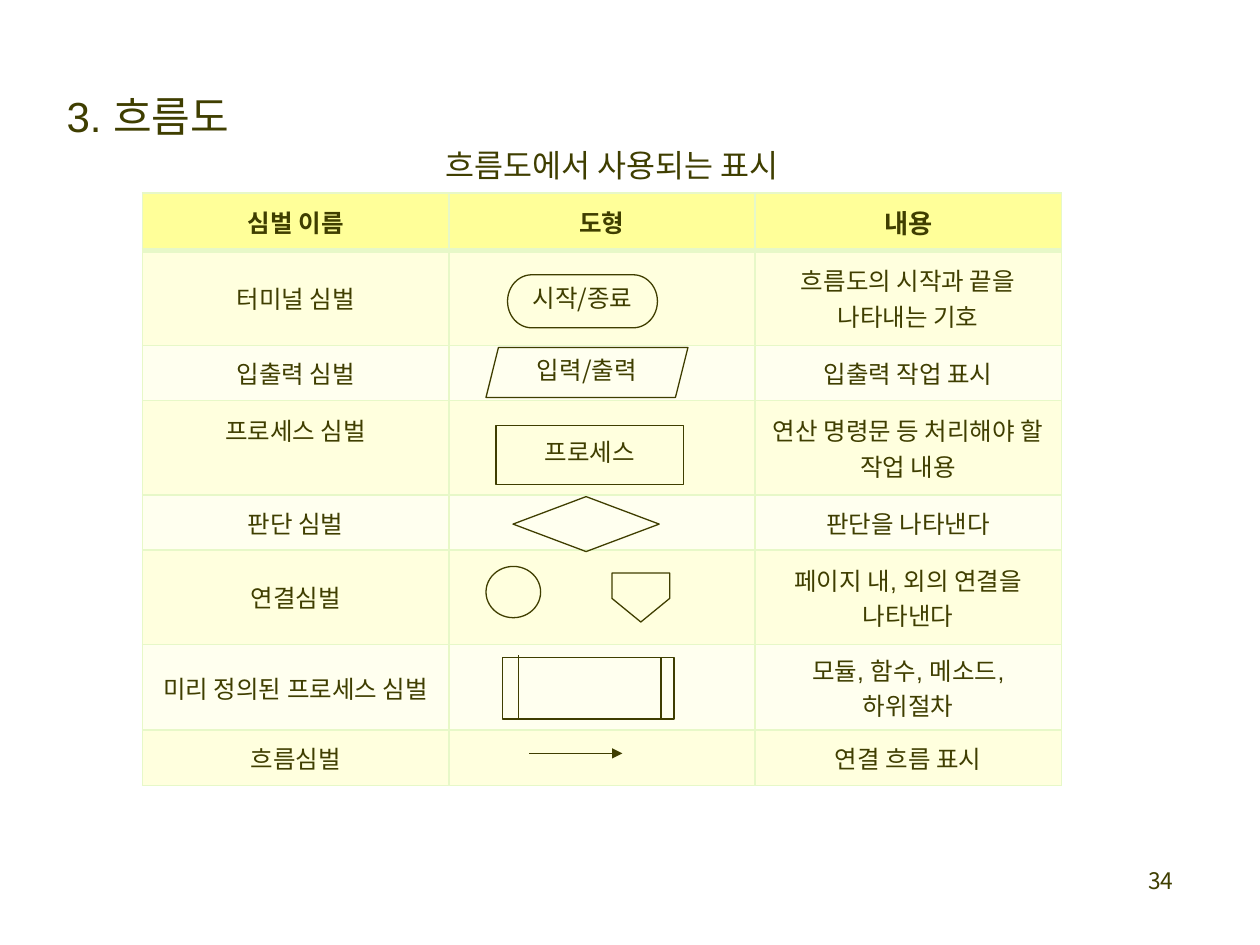
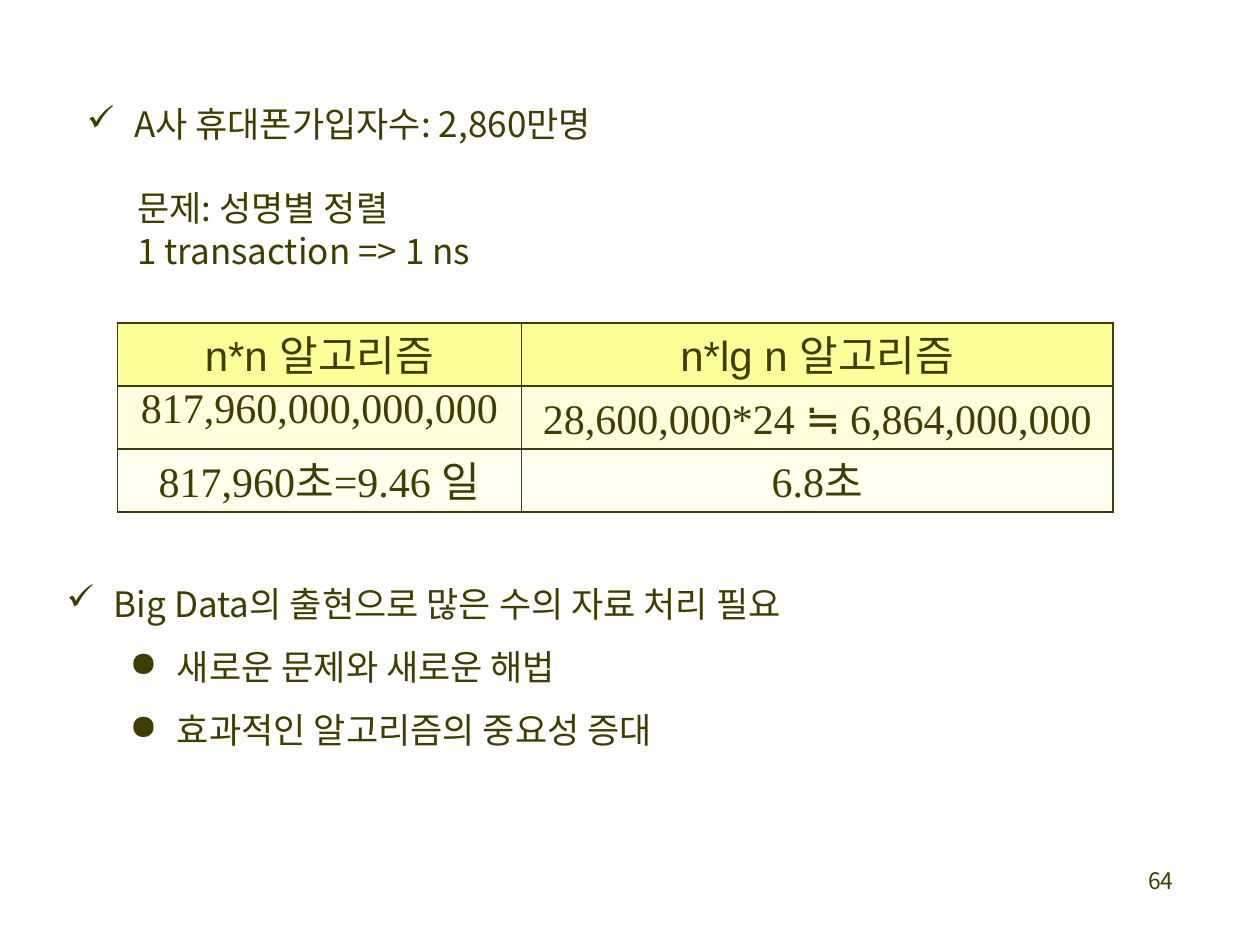
import pptx
import pptx.util
import pptx.dml.color
import pptx.enum.shapes
import pptx.enum.text
import pptx.oxml.ns
from lxml import etree

Pt = pptx.util.Pt
qn = pptx.oxml.ns.qn
SHAPE = pptx.enum.shapes.MSO_SHAPE
ALIGN = pptx.enum.text.PP_ALIGN
ANCHOR = pptx.enum.text.MSO_ANCHOR

COLORS = {"ink": "3F3E00", "header": "FFFF99", "odd": "FFFFDE",
          "even": "FFFFEF", "grid": "E7F8C8"}
NOTO, ARIAL, TIMES = "Noto Sans CJK KR", "Arial", "Times New Roman"
LINE_WIDTH = 0.75


def rgb(name):
    return pptx.dml.color.RGBColor.from_string(COLORS[name])


def add_run(paragraph, text, size, font=NOTO, bold=False):
    run = paragraph.add_run()
    run.text = text
    run.font.size = Pt(size)
    run.font.bold = bold
    run.font.name = font
    run.font.color.rgb = rgb("ink")
    etree.SubElement(run.font._element, qn("a:ea"), typeface=NOTO)


def set_margins(holder, left, top, right, bottom):
    holder.margin_left, holder.margin_top = Pt(left), Pt(top)
    holder.margin_right, holder.margin_bottom = Pt(right), Pt(bottom)


# Text
def add_text_frame(slide, left, top, width, height, wrap=True):
    box = slide.shapes.add_textbox(Pt(left), Pt(top), Pt(width), Pt(height))
    box.text_frame.word_wrap = wrap
    return box.text_frame


def add_heading(slide, text, size, line, left, top, width):
    frame = add_text_frame(slide, left, top, width, line + 7.2, wrap=False)
    paragraph = frame.paragraphs[0]
    paragraph.line_spacing = Pt(line)
    add_run(paragraph, text, size, ARIAL)


def add_page_number(slide, number):
    frame = add_text_frame(slide, 527.8, 491.8, 149.8, 36)
    frame.paragraphs[0].alignment = ALIGN.RIGHT
    add_run(frame.paragraphs[0], number, 13)


def add_notes_list(slide, left, top, width, line, items):
    """Each item: text, bullet, left margin, first-line indent, level, space before."""
    frame = add_text_frame(slide, left, top, width, line * len(items) + 7.2)
    for index, (text, bullet, margin, indent, level, before) in enumerate(items):
        paragraph = frame.paragraphs[0] if index == 0 else frame.add_paragraph()
        properties = paragraph._p.get_or_add_pPr()
        properties.set("marL", str(Pt(margin)))
        properties.set("indent", str(Pt(indent)))
        if bullet:
            etree.SubElement(properties, qn("a:buChar"), char=bullet)
        paragraph.level = level
        paragraph.line_spacing = Pt(line)
        if before:
            paragraph.space_before = Pt(before)
        add_run(paragraph, text, 20)


# Tables
def add_grid(slide, left, top, widths, heights):
    table = slide.shapes.add_table(len(heights), len(widths), Pt(left), Pt(top),
                                   Pt(sum(widths)), Pt(sum(heights))).table
    for column, width in zip(table.columns, widths):
        column.width = Pt(width)
    for row, height in zip(table.rows, heights):
        row.height = Pt(height)
    return table


def style_cell(cell, row, border, heavy_edge=None):
    properties = cell._tc.get_or_add_tcPr()
    for side in ("lnL", "lnR", "lnT", "lnB"):
        width = 3 if side == heavy_edge else 1
        edge = etree.SubElement(properties, qn("a:" + side), w=str(Pt(width)))
        fill = etree.SubElement(edge, qn("a:solidFill"))
        etree.SubElement(fill, qn("a:srgbClr"), val=COLORS[border])
    cell.fill.solid()
    cell.fill.fore_color.rgb = rgb("header" if row == 0 else "odd" if row % 2 else "even")


def add_symbol_table(slide):
    rows = [
        ("심벌 이름", "도형", "내용"),
        ("터미널 심벌", "", "흐름도의 시작과 끝을 나타내는 기호"),
        ("입출력 심벌", "", "입출력 작업 표시"),
        ("프로세스 심벌", "", "연산 명령문 등 처리해야 할 작업 내용"),
        ("판단 심벌", "", "판단을 나타낸다"),
        ("연결심벌", "", "페이지 내, 외의 연결을 나타낸다"),
        ("미리 정의된 프로세스 심벌", "", "모듈, 함수, 메소드, 하위절차"),
        ("흐름심벌", "", "연결 흐름 표시"),
    ]
    table = add_grid(slide, 81.5, 110.3, [175] * 3, [33, 54, 31.5, 54, 31.5, 54, 49, 31.5])
    for r, texts in enumerate(rows):
        for c, text in enumerate(texts):
            cell = table.cell(r, c)
            style_cell(cell, r, "grid", "lnB" if r == 0 else "lnT" if r == 1 else None)
            set_margins(cell, 5, 3, 5, 3)
            cell.vertical_anchor = ANCHOR.MIDDLE
            paragraph = cell.text_frame.paragraphs[0]
            paragraph.alignment = ALIGN.CENTER
            if text:
                add_run(paragraph, text, 15 if text == "내용" else 14,
                        TIMES if text == "도형" else ARIAL, r == 0)
            else:
                etree.SubElement(paragraph._p, qn("a:endParaRPr"), sz="1400")
    # The process name sits level with the first line of its description
    process_name = table.cell(3, 0)
    process_name.vertical_anchor = ANCHOR.TOP
    process_name.margin_top = Pt(6.7)


def add_cost_table(slide):
    rows = [
        ([("n*n 알고리즘", ARIAL)], [("n*lg n 알고리즘", ARIAL)]),
        ([("817,960,000,000,000", TIMES)],
         [("28,600,000*24 ", TIMES), ("≒ ", NOTO), ("6,864,000,000", TIMES)]),
        ([("817,960초=9.46 일", TIMES)], [("6.8초", TIMES)]),
    ]
    table = add_grid(slide, 67, 184.7, [231, 338], [36] * 3)
    for r, cells in enumerate(rows):
        for c, runs in enumerate(cells):
            cell = table.cell(r, c)
            style_cell(cell, r, "ink")
            set_margins(cell, 0, 0, 0, 0)
            paragraph = cell.text_frame.paragraphs[0]
            paragraph.alignment = ALIGN.CENTER
            for text, font in runs:
                add_run(paragraph, text, 24, font)


# Flowchart symbols
def outline(shape):
    shape.shadow.inherit = False
    shape.fill.background()
    shape.line.color.rgb = rgb("ink")
    shape.line.width = Pt(LINE_WIDTH)


def add_symbol(slide, kind, left, top, width, height, label=""):
    symbol = slide.shapes.add_shape(kind, Pt(left), Pt(top), Pt(width), Pt(height))
    outline(symbol)
    if label:
        frame = symbol.text_frame
        set_margins(frame, 0, 0, 0, 3.6)
        frame.vertical_anchor = ANCHOR.MIDDLE
        frame.paragraphs[0].alignment = ALIGN.CENTER
        add_run(frame.paragraphs[0], label, 14)


def add_line(slide, x1, y1, x2, y2, arrow=False):
    line = slide.shapes.add_connector(pptx.enum.shapes.MSO_CONNECTOR.STRAIGHT,
                                      Pt(x1), Pt(y1), Pt(x2), Pt(y2))
    line.line.color.rgb = rgb("ink")
    line.line.width = Pt(LINE_WIDTH)
    if arrow:
        etree.SubElement(line.line._get_or_add_ln(), qn("a:tailEnd"), type="triangle")
    etree.SubElement(line._element.spPr, qn("a:effectLst"))


def add_off_page_symbol(slide, left, top, width, shoulder, height):
    builder = slide.shapes.build_freeform(Pt(left), Pt(top))
    builder.add_line_segments([
        (Pt(left + width), Pt(top)),
        (Pt(left + width), Pt(top + shoulder)),
        (Pt(left + width / 2), Pt(top + height)),
        (Pt(left), Pt(top + shoulder)),
    ], close=True)
    outline(builder.convert_to_shape())


def build_flowchart_slide(slide):
    add_symbol_table(slide)
    add_page_number(slide, "34")
    add_symbol(slide, SHAPE.FLOWCHART_TERMINATOR, 290, 157, 85.7, 30.3, "시작/종료")
    add_symbol(slide, SHAPE.PARALLELOGRAM, 277.7, 198.6, 115.4, 28.5, "입력/출력")
    add_symbol(slide, SHAPE.RECTANGLE, 283.5, 243.2, 107.2, 33.7, "프로세스")
    add_symbol(slide, SHAPE.FLOWCHART_DECISION, 293.2, 283.8, 83.5, 31.4)
    add_symbol(slide, SHAPE.OVAL, 277.7, 323.7, 31.2, 29.3)
    add_off_page_symbol(slide, 349.7, 327.5, 33, 14.5, 28)
    # Predefined process: a box with two inner bars
    add_symbol(slide, SHAPE.RECTANGLE, 287.2, 375.8, 98, 35.2)
    add_line(slide, 296.5, 374.5, 296.5, 411.7)
    add_line(slide, 377.8, 375.8, 377.8, 411.7)
    add_heading(slide, "흐름도에서 사용되는 표시", 18, 33, 247.5, 68.4, 224.6)
    add_line(slide, 302.3, 430.5, 355.7, 430.5, arrow=True)
    add_heading(slide, "3. 흐름도", 24, 44, 31, 33, 114.5)


def build_sorting_slide(slide):
    add_page_number(slide, "64")
    add_notes_list(slide, 42.5, 55.3, 459.4, 24, [
        ("A사 휴대폰가입자수: 2,860만명", "✓", 27, -27, 0, 0),
        ("문제: 성명별 정렬", "", 0, 28.8, 0, 24),
        ("1 transaction => 1 ns", "", 0, 28.8, 0, 0),
    ])
    add_cost_table(slide)
    add_notes_list(slide, 31, 317.3, 527, 36, [
        ("Big Data의 출현으로 많은 수의 자료 처리 필요", "✓", 27, -27, 0, 0),
        ("새로운 문제와 새로운 해법", "●", 63, -27, 1, 0),
        ("효과적인 알고리즘의 중요성 증대", "●", 63, -27, 1, 0),
    ])


def main():
    deck = pptx.Presentation()
    deck.slide_width, deck.slide_height = Pt(720), Pt(540)
    for build in (build_flowchart_slide, build_sorting_slide):
        build(deck.slides.add_slide(deck.slide_layouts[6]))
    deck.save("out.pptx")


if __name__ == "__main__":
    main()
